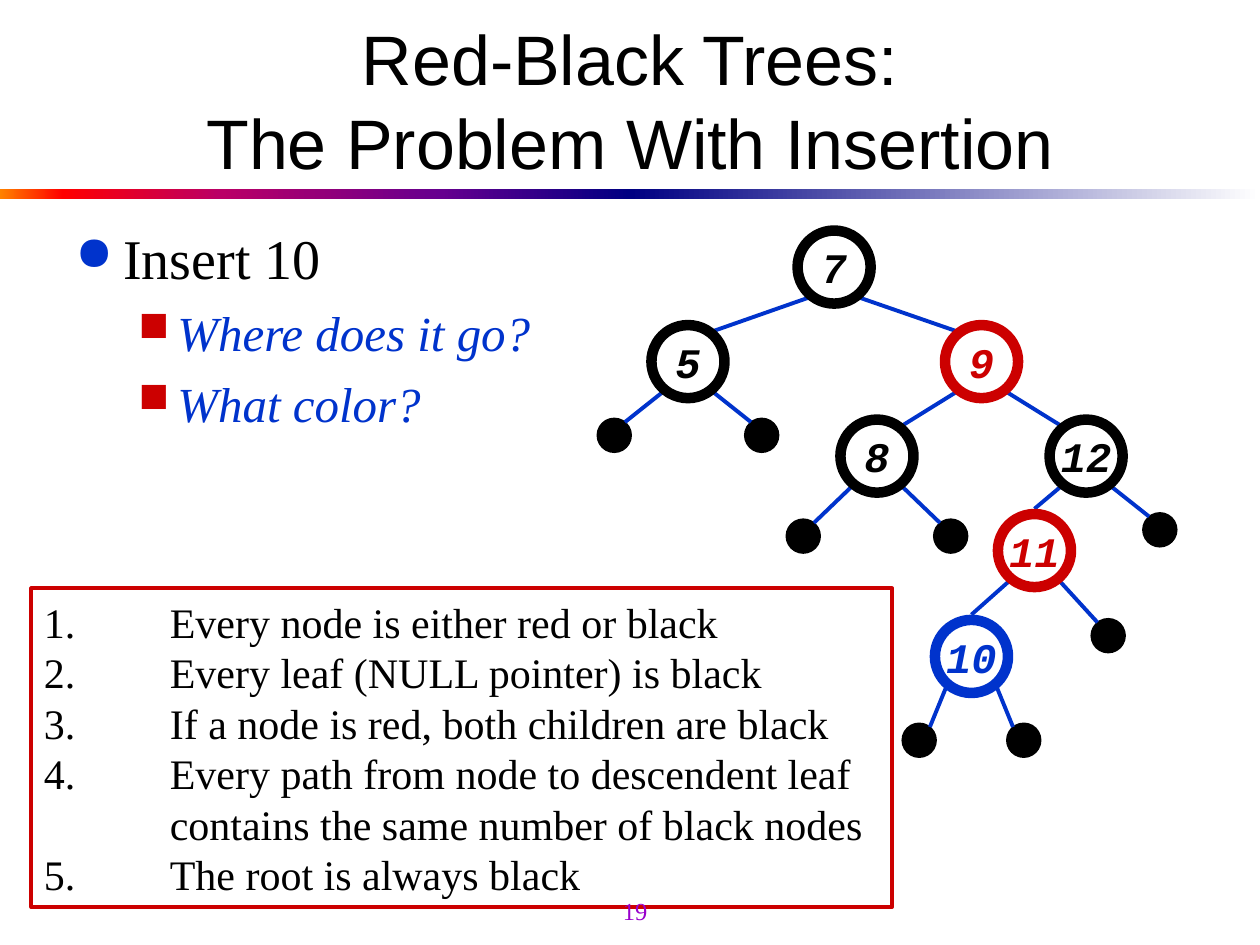
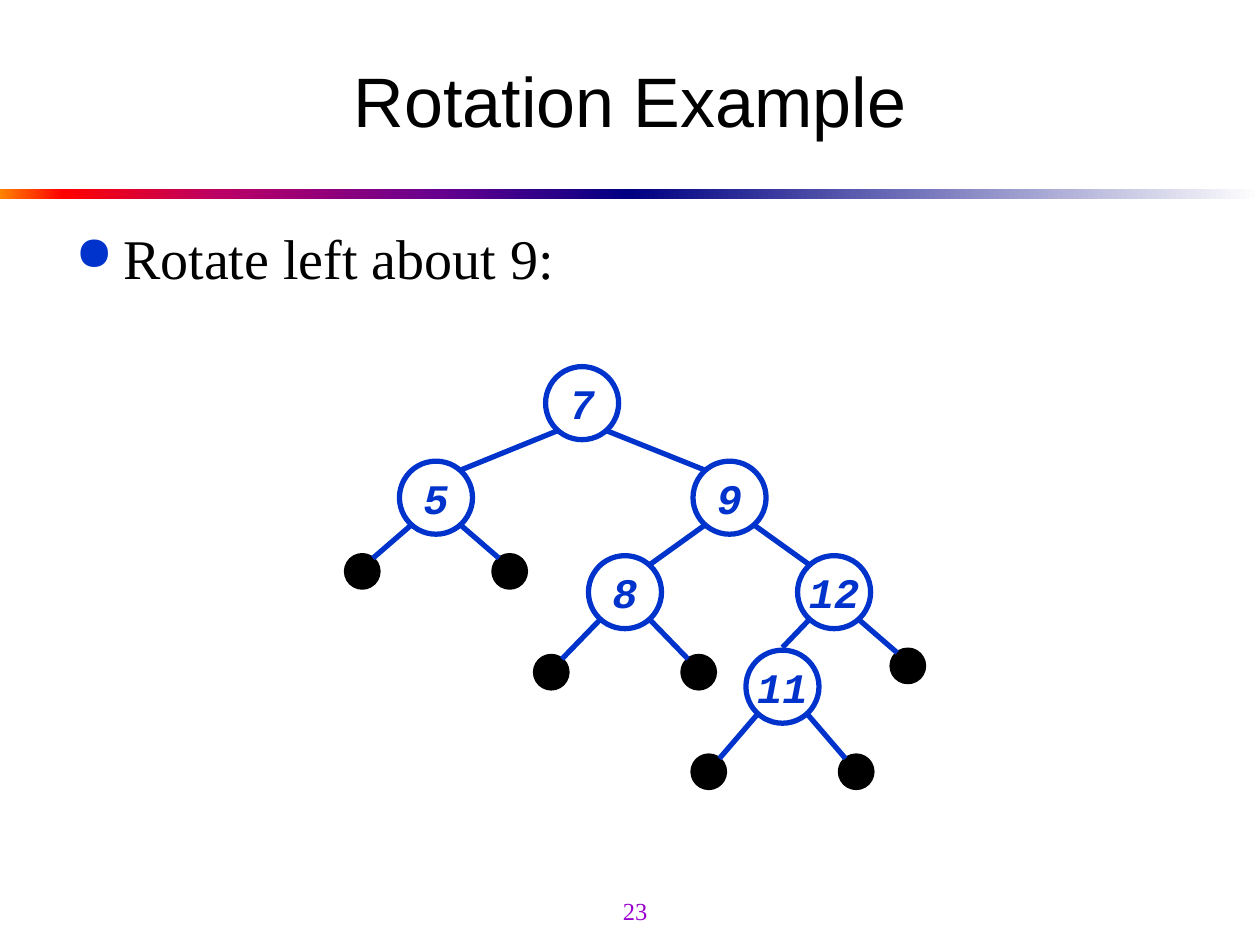
from lxml.etree import SubElement
from pptx import Presentation
from pptx.dml.color import RGBColor
from pptx.enum.shapes import MSO_CONNECTOR, MSO_SHAPE
from pptx.enum.text import MSO_ANCHOR, PP_ALIGN
from pptx.oxml.ns import qn
from pptx.util import Inches, Pt

BLACK = RGBColor(0x00, 0x00, 0x00)
WHITE = RGBColor(0xFF, 0xFF, 0xFF)
BLUE = RGBColor(0x00, 0x33, 0xCC)
RED = RGBColor(0xCC, 0x00, 0x00)
PURPLE = RGBColor(0x99, 0x00, 0xCC)

TITLE = {"name": "Arial", "size": Pt(40)}
BULLET = {"name": "Times New Roman", "size": Pt(32)}
SUB_BULLET = {"name": "Times New Roman", "size": Pt(28), "italic": True}
RULE = {"name": "Times New Roman", "size": Pt(24)}
KEY = {"name": "Courier New", "size": Pt(24), "bold": True, "italic": True}
PAGE = {"name": "Times New Roman", "size": Pt(14)}

BANDS = [
    (0, [(0, "FF8200"), (10, "FF0000"), (35, "BA0066"), (70, "66008F"), (100, "000082")]),
    (5, [(0, "000082"), (100, "FFFFFF")]),
]
BULLETS = [
    {"char": "●", "color": BLUE, "left": 0.38, "hang": 0.38},
    {"char": "■", "color": RED, "left": 0.81, "hang": 0.31},
]
RULES = [
    "1.\tEvery node is either red or black",
    "2.\tEvery leaf (NULL pointer) is black",
    "3.\tIf a node is red, both children are black",
    "4. \tEvery path from node to descendent leaf\vcontains the same number of black nodes",
    "5. \tThe root is always black",
]

NODE, LEAF, CORNER = 0.58, 0.25, 0.09
NODES = {"7": (6.33, 1.83), "5": (5.17, 2.58), "9": (7.5, 2.58),
         "8": (6.67, 3.33), "12": (8.33, 3.33), "11": (7.92, 4.08)}
LINKS = [("7", "5"), ("7", "9"), ("9", "8"), ("9", "12"), ("12", "11")]
LEAVES = [("5", 4.75, 3.33), ("5", 5.92, 3.33), ("8", 6.25, 4.13), ("8", 7.42, 4.13),
          ("12", 9.08, 4.08), ("11", 8.67, 4.92)]

SLIDES = [
    {"title": "Red-Black Trees:\vThe Problem With Insertion", "page": "19",
     "body": [(0, "Insert 10"), (1, "Where does it go?"), (1, "What color?")],
     "rules": RULES, "shift": (0, 0), "node_line": 6, "edge_line": 2.25,
     "nodes": NODES | {"10": (7.42, 4.92)}, "links": LINKS + [("11", "10")],
     "leaves": LEAVES + [("10", 7.17, 5.75), ("10", 8, 5.75)],
     "colors": {"9": RED, "11": RED, "10": BLUE}, "color": BLACK},
    {"title": "Rotation Example", "page": "23",
     "body": [(0, "Rotate left about 9:")],
     "rules": [], "shift": (-2, 1.08), "node_line": 3, "edge_line": 3,
     "nodes": NODES, "links": LINKS,
     "leaves": LEAVES + [("11", 7.5, 4.92)],
     "colors": {}, "color": BLUE},
]


def write(p, text, fmt, color, align=PP_ALIGN.LEFT):
    p.text = text
    p.alignment = align
    for r in p.runs:
        for name, value in fmt.items():
            setattr(r.font, name, value)
        r.font.color.rgb = color


def add_circle(s, x, y, size, fill, line, width):
    sp = s.shapes.add_shape(MSO_SHAPE.OVAL, Inches(x), Inches(y), Inches(size), Inches(size))
    sp.shadow.inherit = False
    sp.fill.solid()
    sp.fill.fore_color.rgb = fill
    sp.line.color.rgb = line
    sp.line.width = Pt(width)
    return sp


prs = Presentation()
prs.slide_width = Inches(10)
prs.slide_height = Inches(7.5)

for spec_row in SLIDES:
    s = prs.slides.add_slide(prs.slide_layouts[6])

    for x, stops in BANDS:
        sp = s.shapes.add_shape(MSO_SHAPE.RECTANGLE, Inches(x), Inches(1.5), Inches(5), Inches(0.08))
        sp.shadow.inherit = False
        sp.line.fill.background()
        sp.fill.gradient()
        sp.fill.gradient_angle = 0
        stop_list = sp._element.spPr.find(qn("a:gradFill")).find(qn("a:gsLst"))
        stop_list.clear()
        for pos, rgb in stops:
            gs = SubElement(stop_list, qn("a:gs"), pos=str(pos * 1000))
            SubElement(gs, qn("a:srgbClr"), val=rgb)

    tf = s.shapes.add_textbox(Inches(0.5), Inches(0.25), Inches(9), Inches(1.08)).text_frame
    tf.word_wrap = True
    tf.vertical_anchor = MSO_ANCHOR.MIDDLE
    write(tf.paragraphs[0], spec_row["title"], TITLE, BLACK, PP_ALIGN.CENTER)

    tf = s.shapes.add_textbox(Inches(0.5), Inches(1.67), Inches(9), Inches(4.75)).text_frame
    tf.word_wrap = True
    tf.margin_top = Inches(0.1)
    for i, (level, text) in enumerate(spec_row["body"]):
        p = tf.add_paragraph() if i else tf.paragraphs[0]
        p.level = level
        if i:
            p.space_before = Pt(7)
        bullet = BULLETS[level]
        pPr = p._p.get_or_add_pPr()
        pPr.set("marL", str(Inches(bullet["left"])))
        pPr.set("indent", str(-Inches(bullet["hang"])))
        SubElement(SubElement(pPr, qn("a:buClr")), qn("a:srgbClr"), val=str(bullet["color"]))
        SubElement(pPr, qn("a:buSzPct"), val="85000")
        SubElement(pPr, qn("a:buChar"), char=bullet["char"])
        write(p, text, SUB_BULLET if level else BULLET, BLUE if level else BLACK)

    if spec_row["rules"]:
        sp = s.shapes.add_shape(MSO_SHAPE.RECTANGLE, Inches(0.25), Inches(4.67), Inches(6.83), Inches(2.53))
        sp.shadow.inherit = False
        sp.fill.background()
        sp.line.color.rgb = RED
        sp.line.width = Pt(2.25)
        tf = sp.text_frame
        tf.word_wrap = True
        tf.vertical_anchor = MSO_ANCHOR.MIDDLE
        for i, text in enumerate(spec_row["rules"]):
            p = tf.add_paragraph() if i else tf.paragraphs[0]
            pPr = p._p.get_or_add_pPr()
            pPr.set("marL", str(Inches(1)))
            pPr.set("indent", str(-Inches(1)))
            write(p, text, RULE, BLACK)

    dx, dy = spec_row["shift"]
    nodes = {key: (x + dx, y + dy) for key, (x, y) in spec_row["nodes"].items()}
    leaves = [(parent, x + dx, y + dy) for parent, x, y in spec_row["leaves"]]
    half_line = spec_row["node_line"] / 144

    edges = []
    for parent, child in spec_row["links"]:
        x, y = nodes[child]
        if child in ("10", "11"):
            edges.append((parent, x + NODE / 2, y - half_line))
        else:
            inner = NODE - CORNER if x < nodes[parent][0] else CORNER
            edges.append((parent, x + inner, y + CORNER - half_line))
    for parent, x, y in leaves:
        inner = LEAF - 0.04 if x < nodes[parent][0] else 0.04
        edges.append((parent, x + inner, y + 0.02))
        add_circle(s, x, y, LEAF, BLACK, BLACK, spec_row["edge_line"])

    for parent, x2, y2 in edges:
        x, y = nodes[parent]
        x1 = x + (CORNER if x2 < x + NODE / 2 else NODE - CORNER)
        y1 = y + NODE - CORNER + half_line
        cn = s.shapes.add_connector(MSO_CONNECTOR.STRAIGHT, Inches(x1), Inches(y1), Inches(x2), Inches(y2))
        cn.line.color.rgb = BLUE
        cn.line.width = Pt(spec_row["edge_line"])
        SubElement(cn._element.spPr, qn("a:effectLst"))

    for key, (x, y) in nodes.items():
        color = spec_row["colors"].get(key, spec_row["color"])
        tf = add_circle(s, x, y, NODE, WHITE, color, spec_row["node_line"]).text_frame
        tf.word_wrap = False
        tf.vertical_anchor = MSO_ANCHOR.MIDDLE
        write(tf.paragraphs[0], key, KEY, color, PP_ALIGN.CENTER)

    tf = s.shapes.add_textbox(Inches(4), Inches(6.98), Inches(2.08), Inches(0.5)).text_frame
    tf.word_wrap = False
    tf.vertical_anchor = MSO_ANCHOR.MIDDLE
    write(tf.paragraphs[0], spec_row["page"], PAGE, PURPLE, PP_ALIGN.CENTER)

prs.save("out.pptx")
